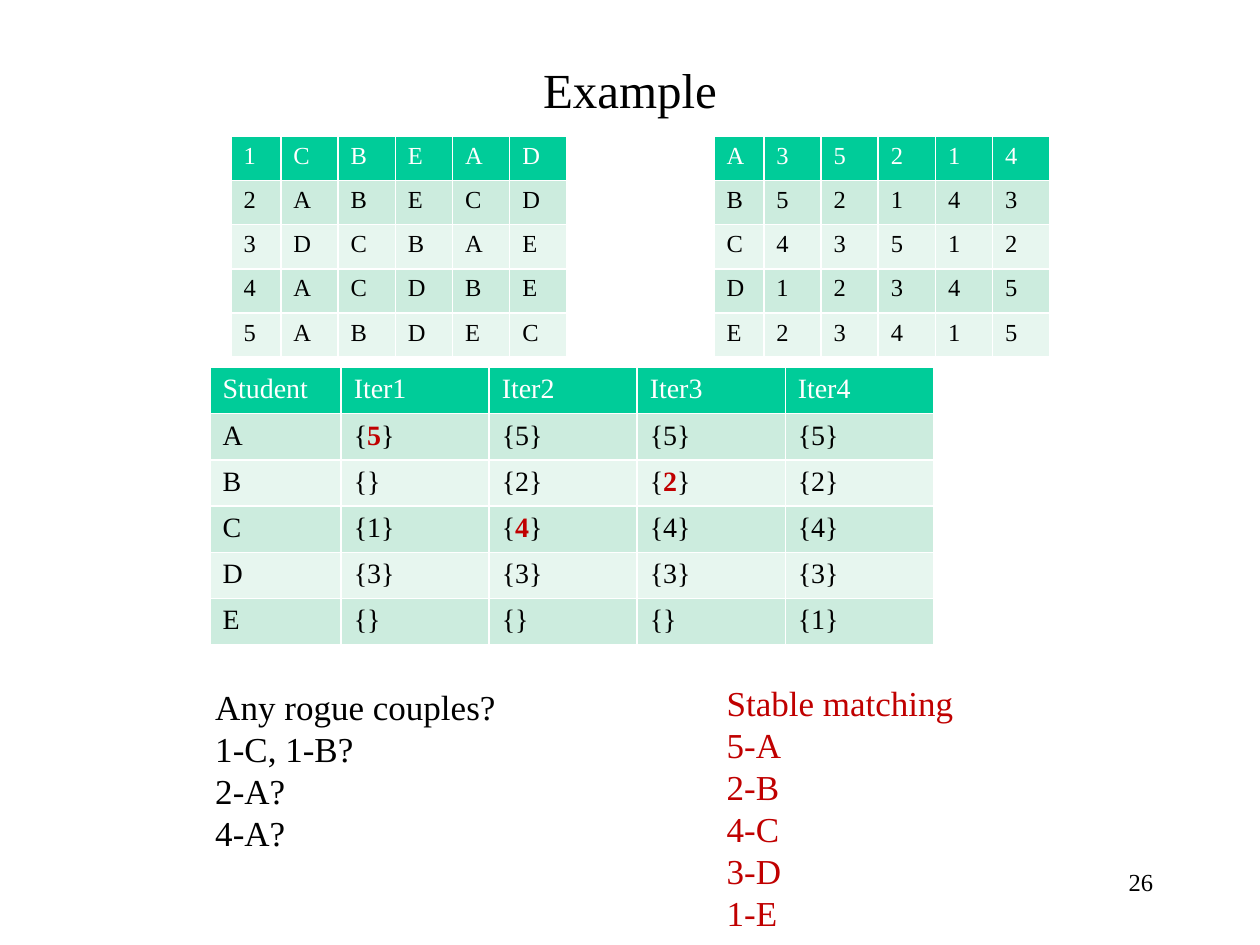
"""Build the stable matching example slide on a grid of 120 columns and 90 rows."""
import pptx
import pptx.dml.color
import pptx.enum.text
import pptx.oxml.ns
import pptx.util

COLORS = {"black": "000000", "white": "FFFFFF", "red": "C00000",
          "header": "00CC99", "dark band": "CCECDE", "light band": "E7F6EF"}
ROW_HEIGHT = 4.2

deck = pptx.Presentation()
deck.slide_width = pptx.util.Inches(10)
deck.slide_height = pptx.util.Inches(7.5)
unit = deck.slide_width / 120
page = deck.slides.add_slide(deck.slide_layouts.get_by_name("Two Content"))


def grid(*lengths):
    """Turn grid lengths into slide lengths."""
    return [round(length * unit) for length in lengths]


def style(font, size, color, bold=False):
    """Set the typeface, size, colour and weight of a font."""
    font.name = "Times New Roman"
    font.size = pptx.util.Pt(size)
    font.bold = bold
    font.color.rgb = pptx.dml.color.RGBColor.from_string(COLORS[color])


title = page.shapes.title
title.left, title.top, title.width, title.height = grid(9, 5, 102, 7)
title.text_frame.text = "Example"
title.text_frame.vertical_anchor = pptx.enum.text.MSO_ANCHOR.MIDDLE
title.text_frame.paragraphs[0].alignment = pptx.enum.text.PP_ALIGN.CENTER
style(title.text_frame.paragraphs[0].font, 28, "black")

number = page.shapes.add_textbox(*grid(86, 82, 25, 6))
number.text_frame.word_wrap = True
number.text_frame.text = "26"
number.text_frame.paragraphs[0].alignment = pptx.enum.text.PP_ALIGN.RIGHT
style(number.text_frame.paragraphs[0].font, 14, "black")

preference_widths = [4.75] + [5.45] * 5
tables = [
    (22, 13, preference_widths, 14,
     [row.split() for row in ("1 C B E A D", "2 A B E C D", "3 D C B A E",
                              "4 A C D B E", "5 A B D E C")]),
    (68, 13, preference_widths, 14,
     [row.split() for row in ("A 3 5 2 1 4", "B 5 2 1 4 3", "C 4 3 5 1 2",
                              "D 1 2 3 4 5", "E 2 3 4 1 5")]),
    (20, 35, [12.5] + [14.1] * 4, 16,
     [row.split() for row in ("Student Iter1 Iter2 Iter3 Iter4", "A {5} {5} {5} {5}",
                              "B {} {2} {2} {2}", "C {1} {4} {4} {4}",
                              "D {3} {3} {3} {3}", "E {} {} {} {1}")]),
]
highlights = {("A", 1), ("B", 3), ("C", 2)}

for left, top, widths, size, rows in tables:
    frame = page.shapes.add_table(
        len(rows), len(widths),
        *grid(left, top, sum(widths), ROW_HEIGHT * len(rows)))
    table = frame.table
    for column, width in zip(table.columns, grid(*widths)):
        column.width = width
    for row_index, row in enumerate(rows):
        table.rows[row_index].height = grid(ROW_HEIGHT)[0]
        band = "header" if row_index == 0 else "dark band" if row_index % 2 else "light band"
        color = "white" if row_index == 0 else "black"
        for column_index, value in enumerate(row):
            cell = table.cell(row_index, column_index)
            cell.fill.solid()
            cell.fill.fore_color.rgb = pptx.dml.color.RGBColor.from_string(COLORS[band])
            para = cell.text_frame.paragraphs[0]
            marked = size == 16 and (row[0], column_index) in highlights
            # braces stay plain around a marked value
            for part in (value if marked else [value]):
                span = para.add_run()
                span.text = part
                accent = marked and part.isdigit()
                style(span.font, size, "red" if accent else color, accent)

lists = [
    (1, (19.3, 64.7, 49, 17.4), "black",
     ["Any rogue couples?", "1-C, 1-B?", "2-A?", "4-A?"]),
    (2, (68, 64.3, 25, 25.4), "red",
     ["Stable matching", "5-A", "2-B", "4-C", "3-D", "1-E"]),
]
for index, place, color, lines in lists:
    box = page.placeholders[index]
    box.left, box.top, box.width, box.height = grid(*place)
    box.text_frame.text = "\n".join(lines)
    box.text_frame.auto_size = pptx.enum.text.MSO_AUTO_SIZE.SHAPE_TO_FIT_TEXT
    for para in box.text_frame.paragraphs:
        style(para.font, 20, color)
        para.space_before = pptx.util.Pt(0)
        properties = para._p.get_or_add_pPr()
        properties.set("marL", "0")
        properties.set("indent", "0")
        properties.insert_element_before(
            pptx.oxml.parse_xml("<a:buNone %s/>" % pptx.oxml.ns.nsdecls("a")),
            "a:tabLst", "a:defRPr", "a:extLst")

deck.save("out.pptx")
